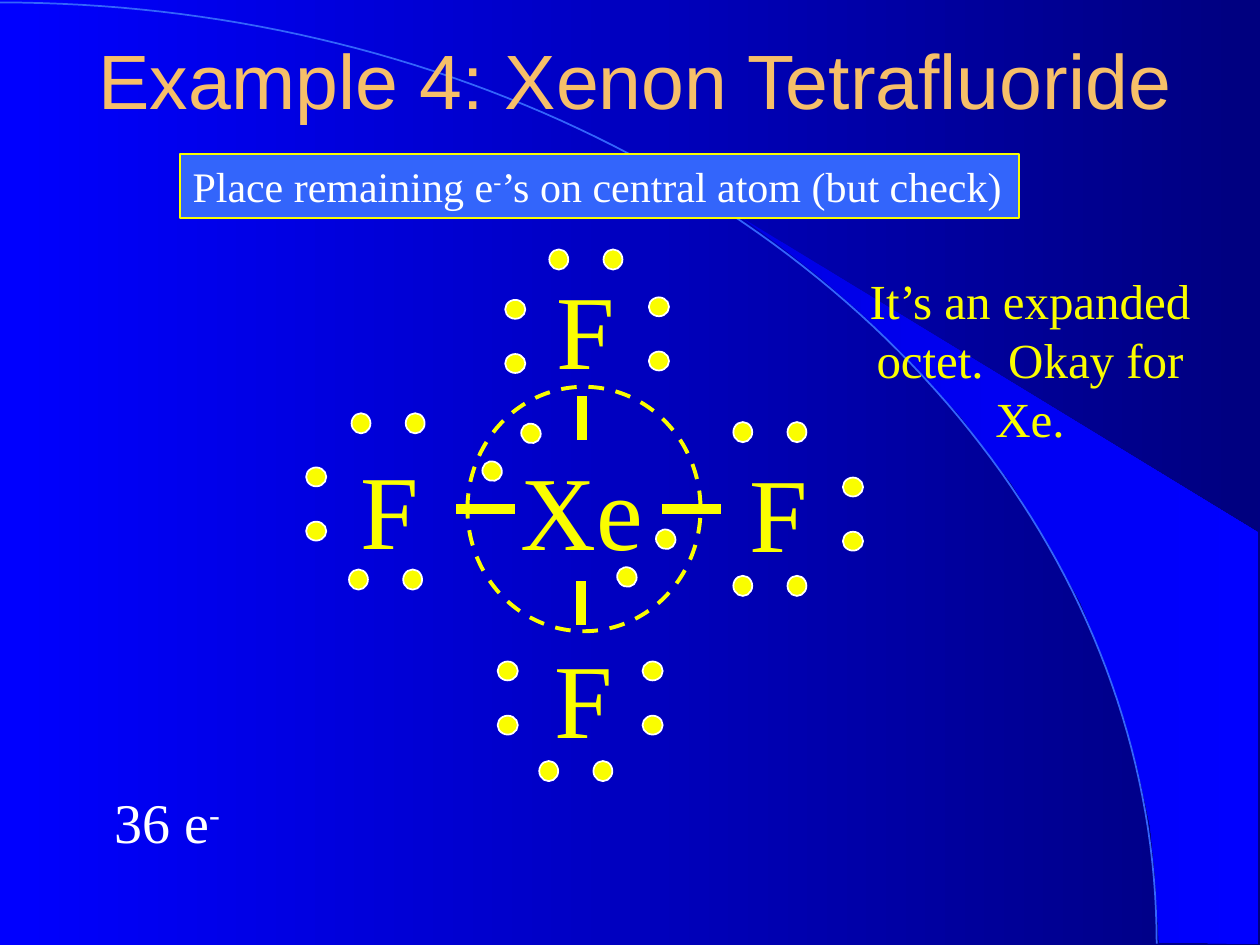
import math

from lxml import etree
from pptx import Presentation
from pptx import util as u
from pptx.dml.color import RGBColor
from pptx.enum import dml, shapes, text
from pptx.oxml import ns

NAVY = RGBColor(0x00, 0x00, 0x7F)
BLUE = RGBColor(0x00, 0x00, 0xFF)
DEEP_BLUE = RGBColor(0x00, 0x00, 0xE5)
SKY = RGBColor(0x33, 0x65, 0xFB)
YELLOW = RGBColor(0xFA, 0xFD, 0x00)
ORANGE = RGBColor(0xF6, 0xBF, 0x69)
WHITE = RGBColor(0xFF, 0xFF, 0xFF)
SERIF = "Times New Roman"

WEDGE = [
    (3.31, 5.75), (4.1, 5.76), (4.1, 2.5), (0, 0), (0.35, 0.26), (0.64, 0.49),
    (0.96, 0.77), (1.27, 1.07), (1.73, 1.57), (2.14, 2.11), (2.43, 2.58),
    (2.69, 3.06), (2.89, 3.55), (3.04, 3.99), (3.14, 4.36), (3.24, 4.83),
    (3.28, 5.23),
]
ATOMS = [
    ("Xe", 1.6, 1.59), ("F", 0.07, 1.58), ("F", 3.16, 1.6),
    ("F", 1.63, 0.15), ("F", 1.61, 3.08),
]
BONDS = [
    (1.22, 2.14, 1.69, 2.14), (2.85, 2.14, 3.32, 2.14),
    (2.22, 1.59, 2.22, 1.24), (2.21, 3.06, 2.21, 2.71),
]
LONE_PAIRS = {
    0: [(3.71, 2.75), (3.71, 1.53), (2.25, 0.16), (2.17, 4.22),
        (0.66, 2.7), (0.68, 1.46)],
    270: [(4.37, 2.18), (2.83, 0.75), (1.69, 0.77), (2.78, 3.64),
          (1.63, 3.64), (0.11, 2.1)],
    315.8: [(1.66, 1.69), (2.73, 2.53)],
}
DOT_WIDTH, DOT_HEIGHT, DOT_GAP = 0.15, 0.16, 0.43


def set_gradient(fill, first, last):
    fill.gradient()
    fill.gradient_angle = 0
    for stop, color in zip(fill.gradient_stops, (first, last)):
        stop.color.rgb = color


def style_shape(shape, fill, line, width):
    shape.shadow.inherit = False
    if fill is None:
        shape.fill.background()
    else:
        shape.fill.solid()
        shape.fill.fore_color.rgb = fill
    shape.line.color.rgb = line
    shape.line.width = u.Pt(width)


def write_text(frame, parts, size, color, align):
    para = frame.paragraphs[0]
    para.alignment = align
    para.font.name = SERIF
    para.font.size = u.Pt(size)
    para.font.color.rgb = color
    for index, part in enumerate(parts):
        span = para.add_run()
        span.text = part
        if index % 2:
            span._r.get_or_add_rPr().set("baseline", "30000")


def add_label(page, left, top, width, height, parts, size, color):
    box = page.shapes.add_textbox(*map(u.Inches, (left, top, width, height)))
    box.text_frame.word_wrap = True
    write_text(box.text_frame, parts, size, color, text.PP_ALIGN.CENTER)


def add_outline(page, points, close):
    corners = [(u.Inches(x), u.Inches(y)) for x, y in points]
    builder = page.shapes.build_freeform(*corners[0])
    builder.add_line_segments(corners[1:], close=close)
    shape = builder.convert_to_shape()
    shape.shadow.inherit = False
    return shape


def add_backdrop(page, left, top, width, height):
    set_gradient(page.background.fill, BLUE, NAVY)
    wedge = add_outline(page, [(left + 5.89 + x, top + 1.73 + y) for x, y in WEDGE], True)
    set_gradient(wedge.fill, DEEP_BLUE, BLUE)
    wedge.line.fill.background()

    steps = 90
    angles = [math.pi / 2 * step / steps for step in range(steps + 1)]
    arc = add_outline(page, [
        (left + width * math.sin(angle), top + 0.02 + height * (1 - math.cos(angle)))
        for angle in angles
    ], False)
    style_shape(arc, None, SKY, 1)


def add_title(page, left, top, width, height):
    title = page.shapes.title
    title.element.getparent().append(title.element)
    title.left, title.top = u.Inches(left), u.Inches(top)
    title.width, title.height = u.Inches(width), u.Inches(height)
    frame = title.text_frame
    frame.text = "Example 4: Xenon Tetrafluoride"
    frame.vertical_anchor = text.MSO_ANCHOR.MIDDLE
    para = frame.paragraphs[0]
    para.alignment = text.PP_ALIGN.CENTER
    para.font.name = "Arial"
    para.font.size = u.Pt(44)
    para.font.color.rgb = ORANGE


def add_step(page, left, top, width, height):
    box = page.shapes.add_shape(
        shapes.MSO_SHAPE.RECTANGLE, *map(u.Inches, (left, top, width, height)))
    style_shape(box, SKY, YELLOW, 1)
    box.text_frame.word_wrap = False
    write_text(box.text_frame, ["Place remaining e", "-", "’s on central atom (but check)"],
               24, WHITE, text.PP_ALIGN.LEFT)


def add_bond(page, x1, y1, x2, y2):
    bond = page.shapes.add_connector(
        shapes.MSO_CONNECTOR.STRAIGHT, *map(u.Inches, (x1, y1, x2, y2)))
    bond.line.color.rgb = YELLOW
    bond.line.width = u.Pt(6)
    etree.SubElement(bond.element.spPr, ns.qn("a:effectLst"))


def add_lone_pair(page, x, y, angle):
    for side in (-0.5, 0.5):
        dot_x = x + side * DOT_GAP * math.cos(math.radians(angle))
        dot_y = y + side * DOT_GAP * math.sin(math.radians(angle))
        dot = page.shapes.add_shape(
            shapes.MSO_SHAPE.OVAL,
            u.Inches(dot_x - DOT_WIDTH / 2), u.Inches(dot_y - DOT_HEIGHT / 2),
            u.Inches(DOT_WIDTH), u.Inches(DOT_HEIGHT))
        dot.rotation = angle
        style_shape(dot, YELLOW, WHITE, 1)


def add_molecule(page, left, top):
    for symbol, x, y in ATOMS:
        add_label(page, left + x, top + y, 1.24, 1.1, [symbol], 60, YELLOW)
    for x1, y1, x2, y2 in BONDS:
        add_bond(page, left + x1, top + y1, left + x2, top + y2)
    ring = page.shapes.add_shape(
        shapes.MSO_SHAPE.OVAL, u.Inches(left + 1.31), u.Inches(top + 1.17),
        u.Inches(1.85), u.Inches(1.94))
    style_shape(ring, None, YELLOW, 2.25)
    ring.line.dash_style = dml.MSO_LINE.DASH
    for angle, centers in LONE_PAIRS.items():
        for x, y in centers:
            add_lone_pair(page, left + x, top + y, angle)


def main():
    deck = Presentation()
    deck.slide_width, deck.slide_height = u.Inches(10), u.Inches(7.5)
    page = deck.slides.add_slide(deck.slide_layouts[5])
    add_backdrop(page, 0, 0, 9.18, 7.47)
    add_title(page, 0.53, 0, 9.03, 1.25)
    add_step(page, 1.43, 1.22, 6.66, 0.51)
    add_molecule(page, 2.4, 1.9)
    add_label(page, 6.62, 2.1, 3.11, 1.5,
              ["It’s an expanded octet.  Okay for Xe."], 28, YELLOW)
    add_label(page, 0.65, 6.2, 1.35, 0.63, ["36 e", "-"], 32, WHITE)
    deck.save("out.pptx")


if __name__ == "__main__":
    main()
